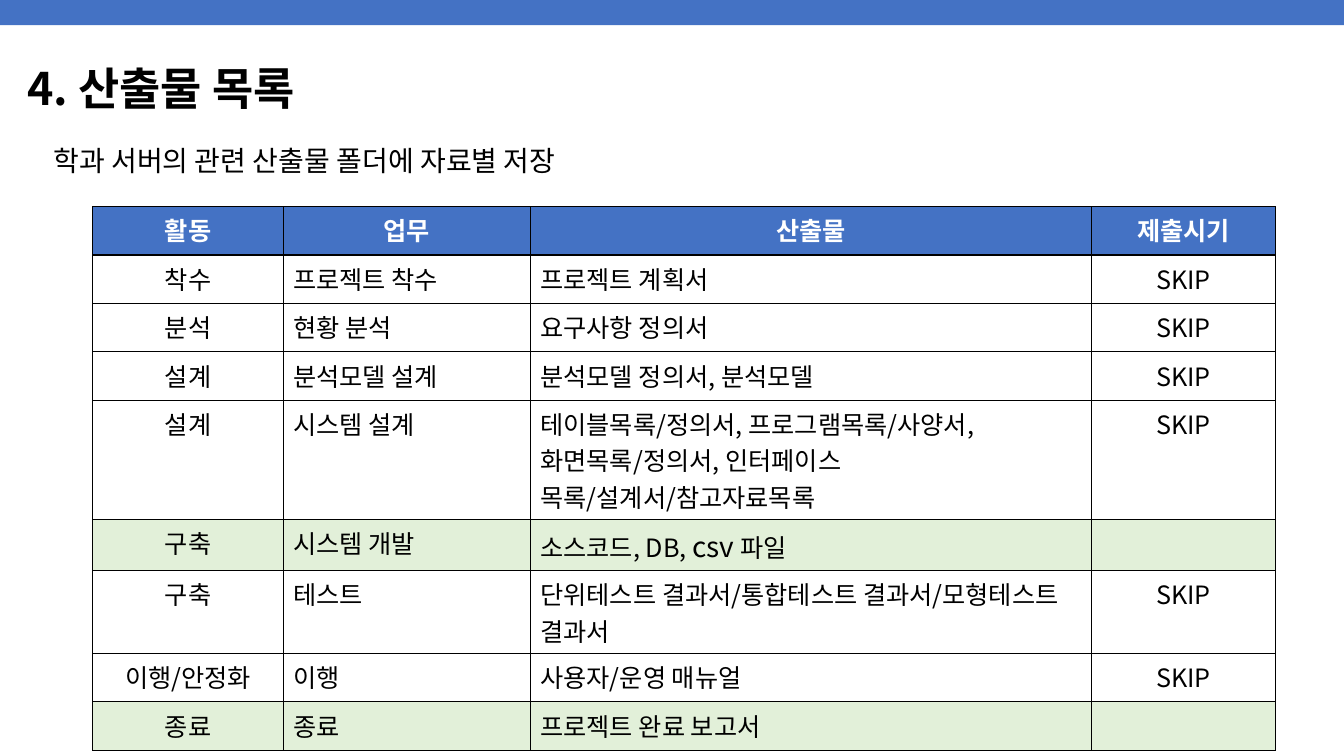
from lxml import etree
from pptx import Presentation
from pptx.dml.color import RGBColor
from pptx.enum.shapes import MSO_SHAPE
from pptx.enum.text import MSO_ANCHOR, MSO_AUTO_SIZE, PP_ALIGN
from pptx.oxml.ns import qn
from pptx.util import Inches, Pt

RECT = MSO_SHAPE.RECTANGLE
LEFT, CENTER = PP_ALIGN.LEFT, PP_ALIGN.CENTER
TOP, MIDDLE = MSO_ANCHOR.TOP, MSO_ANCHOR.MIDDLE
FIXED = MSO_AUTO_SIZE.NONE
FACE = "Noto Sans CJK KR"
HEX = {"blue": "4472C4", "green": "E2F0D9", "black": "000000", "white": "FFFFFF"}
RGB = {name: RGBColor.from_string(code) for name, code in HEX.items()}


def write(para, text, size=18, color="black", bold=False):
    run = para.add_run()
    run.text = text
    run.font.color.rgb = RGB[color]
    form = {"size": Pt(size), "bold": bold, "name": FACE}
    for key, value in form.items():
        setattr(run.font, key, value)
    etree.SubElement(run.font._element, qn("a:ea"), typeface=FACE)


def edge(cell):
    props = cell._tc.get_or_add_tcPr()
    for side in ("lnL", "lnR", "lnT", "lnB"):
        line = etree.SubElement(props, qn(f"a:{side}"), w=str(Pt(1)))
        fill = etree.SubElement(line, qn("a:solidFill"))
        etree.SubElement(fill, qn("a:srgbClr"), val=HEX["black"])


deck = Presentation()
deck.slide_width, deck.slide_height = Inches(13.33), Inches(7.5)
slide = deck.slides.add_slide(deck.slide_layouts[1])

# Top band
band = slide.shapes.add_shape(RECT, 0, 0, deck.slide_width, Inches(0.25))
band.shadow.inherit = False
band.fill.solid()
band.fill.fore_color.rgb = RGB["blue"]
band.line.fill.background()

# Title and lead line
title, lead = slide.placeholders
heads = [
    (title, (0.17, 0.46, 12.93, 0.89), MIDDLE, 0, "4. 산출물 목록", 32, True),
    (lead, (0.43, 1.41, 12.41, 0.65), TOP, 10,
     "학과 서버의 관련 산출물 폴더에 자료별 저장", 20, False),
]
for shape, box, anchor, before, text, size, bold in heads:
    for key, value in zip(("left", "top", "width", "height"), box):
        setattr(shape, key, Inches(value))
    frame = shape.text_frame
    frame.word_wrap, frame.auto_size = True, FIXED
    frame.vertical_anchor = anchor
    para = frame.paragraphs[0]
    form = {"alignment": LEFT, "line_spacing": 0.9, "space_before": Pt(before)}
    for key, value in form.items():
        setattr(para, key, value)
    props = para._p.get_or_add_pPr()
    props.set("marL", "0")
    props.set("indent", "0")
    etree.SubElement(props, qn("a:buNone"))
    write(para, text, size, bold=bold)

# Table of outputs; a cell may hold several (text, size) runs
rows = [
    ("활동", "업무", "산출물", "제출시기"),
    ("착수", "프로젝트 착수", "프로젝트 계획서", "SKIP"),
    ("분석", "현황 분석", "요구사항 정의서", "SKIP"),
    ("설계", "분석모델 설계", "분석모델 정의서, 분석모델", "SKIP"),
    ("설계", "시스템 설계",
     "테이블목록/정의서, 프로그램목록/사양서, 화면목록/정의서, "
     "인터페이스 목록/설계서/참고자료목록", "SKIP"),
    ("구축", "시스템 개발",
     [("소스코드, DB, ", 18), ("csv", 20), (" 파일", 18)], ""),
    ("구축", "테스트", "단위테스트 결과서/통합테스트 결과서/모형테스트 결과서", "SKIP"),
    ("이행/안정화", "이행", "사용자/운영 매뉴얼", "SKIP"),
    ("종료", "종료", "프로젝트 완료 보고서", ""),
]
widths = (1.89, 2.45, 5.57, 1.82)
high = 0.48
table = slide.shapes.add_table(
    len(rows), len(widths), Inches(0.92), Inches(2.05),
    Inches(sum(widths)), Inches(high * len(rows))).table
table.horz_banding = False
for col, width in zip(table.columns, widths):
    col.width = Inches(width)

for r, row in enumerate(rows):
    table.rows[r].height = Inches(high)
    head = r == 0
    tint = "blue" if head else "green" if not row[-1] else None
    for c, text in enumerate(row):
        cell = table.cell(r, c)
        edge(cell)
        if tint:
            cell.fill.solid()
            cell.fill.fore_color.rgb = RGB[tint]
        else:
            cell.fill.background()
        para = cell.text_frame.paragraphs[0]
        para.alignment = CENTER if head or c in (0, 3) else LEFT
        parts = [(text, 18)] if isinstance(text, str) else text
        for part, size in parts:
            if part:
                write(para, part, size, "white" if head else "black", head)

deck.save("out.pptx")
